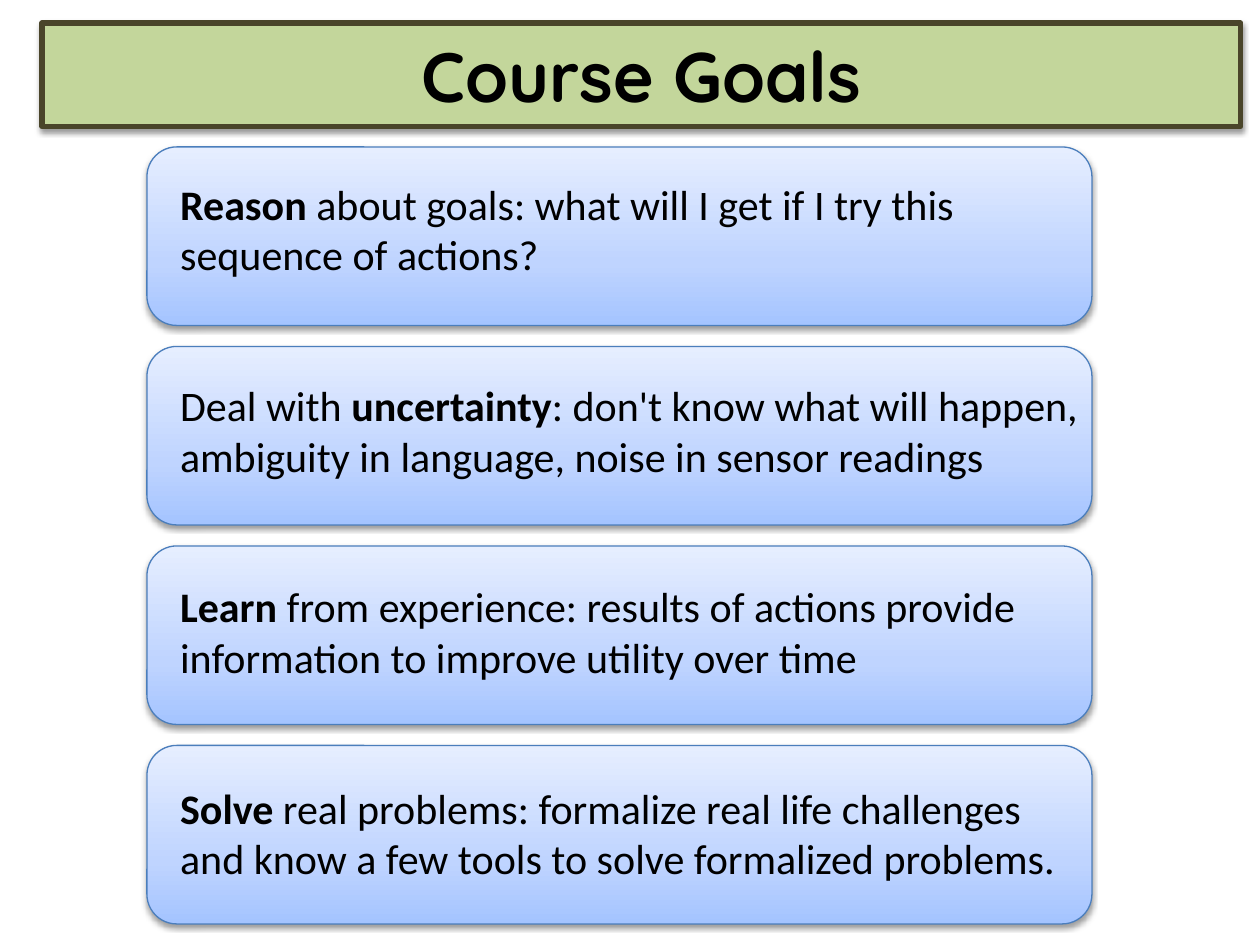
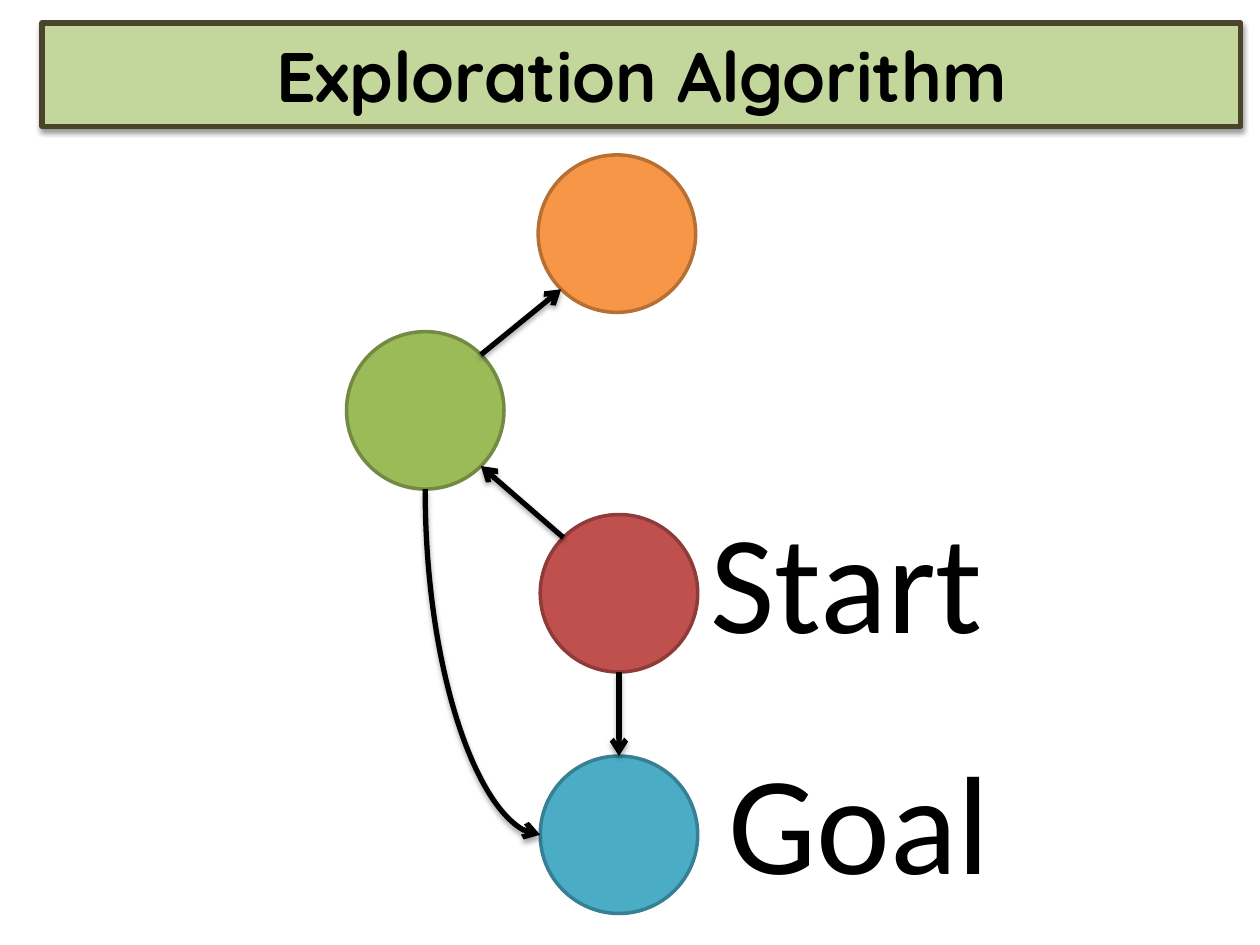
"""Build two course slides: the goals and the exploration graph."""
from copy import deepcopy
from dataclasses import dataclass
from math import cos, pi, sin

from lxml.etree import SubElement
from pptx import Presentation
from pptx.dml.color import RGBColor
from pptx.enum.shapes import MSO_CONNECTOR, MSO_SHAPE
from pptx.enum.text import MSO_ANCHOR, MSO_AUTO_SIZE, PP_ALIGN
from pptx.oxml.ns import qn
from pptx.util import Pt


@dataclass(frozen=True)
class Theme:
    ink: str = "000000"
    band: str = "C3D69B"
    edge: str = "4A452A"
    rim: str = "4B7EBC"
    fade: tuple = ((0, "A4C4FF"), (0.35, "BFD4FF"), (1, "E6EEFF"))
    red: tuple = ("C0504D", "8E3B39")
    green: tuple = ("9BBB59", "738A42")
    orange: tuple = ("F79646", "B76F34")
    blue: tuple = ("4BACC6", "377F92")
    head: str = "Quicksand"
    body: str = "Calibri"
    title: int = 40
    text: int = 24
    label: int = 80


def rgb(code):
    return RGBColor.from_string(code)


class Deck:
    def __init__(self, theme):
        self.theme = theme
        self.file = Presentation()
        self.file.slide_width, self.file.slide_height = Pt(720), Pt(540)
        self.slide = None

    def font(self, run, size, name, bold=False):
        font = run.font
        font.size, font.name, font.bold = Pt(size), name, bold
        font.color.rgb = rgb(self.theme.ink)

    def line(self, item, color, width):
        item.line.color.rgb = rgb(color)
        item.line.width = Pt(width)

    def shade(self, item, alpha=0, gap=1.6):
        root = SubElement(item._element.spPr, qn("a:effectLst"))
        if alpha:
            drop = SubElement(root, qn("a:outerShdw"), blurRad=str(Pt(3.1)),
                              dist=str(Pt(gap)), dir="5400000", rotWithShape="0")
            tint = SubElement(drop, qn("a:srgbClr"), val=self.theme.ink)
            SubElement(tint, qn("a:alpha"), val=str(alpha * 1000))

    def page(self, title):
        theme = self.theme
        self.slide = self.file.slides.add_slide(self.file.slide_layouts[5])
        band = self.slide.shapes.title
        band.left, band.top, band.width, band.height = Pt(24), Pt(13.2), Pt(685), Pt(59)
        band.fill.solid()
        band.fill.fore_color.rgb = rgb(theme.band)
        self.line(band, theme.edge, 3)
        self.shade(band, 38)
        frame = band.text_frame
        frame.text = title
        frame.auto_size = MSO_AUTO_SIZE.NONE
        frame.vertical_anchor = MSO_ANCHOR.MIDDLE
        frame.paragraphs[0].alignment = PP_ALIGN.CENTER
        self.font(frame.paragraphs[0].runs[0], theme.title, theme.head, True)

    def card(self, top, foot, parts):
        theme = self.theme
        card = self.slide.shapes.add_shape(
            MSO_SHAPE.ROUNDED_RECTANGLE, Pt(84), Pt(top), Pt(540), Pt(102))
        card.fill.gradient()
        card.fill.gradient_angle = 90
        stops = card._element.spPr.find(".//" + qn("a:gsLst"))
        stops.insert(1, deepcopy(stops[0]))
        for stop, (place, color) in zip(card.fill.gradient_stops, theme.fade):
            stop.position = place
            stop.color.rgb = rgb(color)
        self.line(card, theme.rim, 0.75)
        self.shade(card, 38)
        frame = card.text_frame
        frame.word_wrap = True
        frame.vertical_anchor = MSO_ANCHOR.MIDDLE
        frame.margin_left, frame.margin_right = Pt(14), Pt(0)
        frame.margin_bottom = Pt(foot)
        para = frame.paragraphs[0]
        para.alignment = PP_ALIGN.LEFT
        for part, bold in parts:
            run = para.add_run()
            run.text = part
            self.font(run, theme.text, theme.body, bold)

    def node(self, left, top, colors):
        node = self.slide.shapes.add_shape(
            MSO_SHAPE.OVAL, Pt(left), Pt(top), Pt(90), Pt(90))
        node.fill.solid()
        node.fill.fore_color.rgb = rgb(colors[0])
        self.line(node, colors[1], 2)
        self.shade(node)
        return node

    def site(self, node, index):
        half, turn = node.width / 2, index * pi / 4
        return (node.left + half * (1 - sin(turn)),
                node.top + half * (1 - cos(turn)))

    def arrow(self, start, out, end, into, curved=False):
        kind = MSO_CONNECTOR.STRAIGHT
        (x1, y1), (x2, y2) = self.site(start, out), self.site(end, into)
        if curved:
            kind = MSO_CONNECTOR.CURVE
            midx, midy = (x1 + x2) / 2, (y1 + y2) / 2
            wide, high = (y2 - y1) / 2, (x2 - x1) / 2
            x1, y1, x2, y2 = midx + wide, midy - high, midx - wide, midy + high
        arrow = self.slide.shapes.add_connector(
            kind, *(round(value) for value in (x1, y1, x2, y2)))
        root = arrow._element
        if curved:
            root.spPr.find(qn("a:xfrm")).set("rot", "16200000")
            root.spPr.find(qn("a:prstGeom")).set("prst", "curvedConnector2")
        links = root.find(".//" + qn("p:cNvCxnSpPr"))
        for tag, node, index in (("a:stCxn", start, out), ("a:endCxn", end, into)):
            SubElement(links, qn(tag), id=str(node.shape_id), idx=str(index))
        self.line(arrow, self.theme.ink, 3)
        SubElement(root.spPr.find(qn("a:ln")), qn("a:tailEnd"), type="arrow")
        self.shade(arrow, 35, 1.8)

    def label(self, left, top, width, text):
        box = self.slide.shapes.add_textbox(Pt(left), Pt(top), Pt(width), Pt(104.5))
        frame = box.text_frame
        frame.text = text
        frame.word_wrap = False
        frame.auto_size = MSO_AUTO_SIZE.SHAPE_TO_FIT_TEXT
        self.font(frame.paragraphs[0].runs[0], self.theme.label, self.theme.body)


def goals(deck):
    deck.page("Course Goals")
    cards = (
        (("Reason", True),
         (" about goals: what will I get if I try this sequence of actions?", False)),
        (("Deal with ", False), ("uncertainty", True),
         (": don't know what will happen, ambiguity in language, "
          "noise in sensor readings", False)),
        (("Learn", True),
         (" from experience: results of actions provide information "
          "to improve utility over time", False)),
        (("Solve", True),
         (" real problems: formalize real life challenges and know "
          "a few tools to solve formalized problems.", False)),
    )
    for row, parts in enumerate(cards):
        deck.card(84 + 114 * row, 12 - 2 * row, parts)


def graph(deck):
    theme = deck.theme
    deck.page("Exploration Algorithm")
    start = deck.node(308.7, 294, theme.red)
    left = deck.node(198, 189.5, theme.green)
    top = deck.node(307.5, 88.5, theme.orange)
    goal = deck.node(308.7, 432, theme.blue)
    deck.arrow(start, 1, left, 5)
    deck.arrow(left, 7, top, 3)
    deck.arrow(start, 4, goal, 0)
    deck.arrow(left, 4, goal, 2, curved=True)
    deck.label(399, 278.5, 171, "Start")
    deck.label(409, 416, 165.5, "Goal")


def main():
    deck = Deck(Theme())
    goals(deck)
    graph(deck)
    deck.file.save("out.pptx")


if __name__ == "__main__":
    main()
